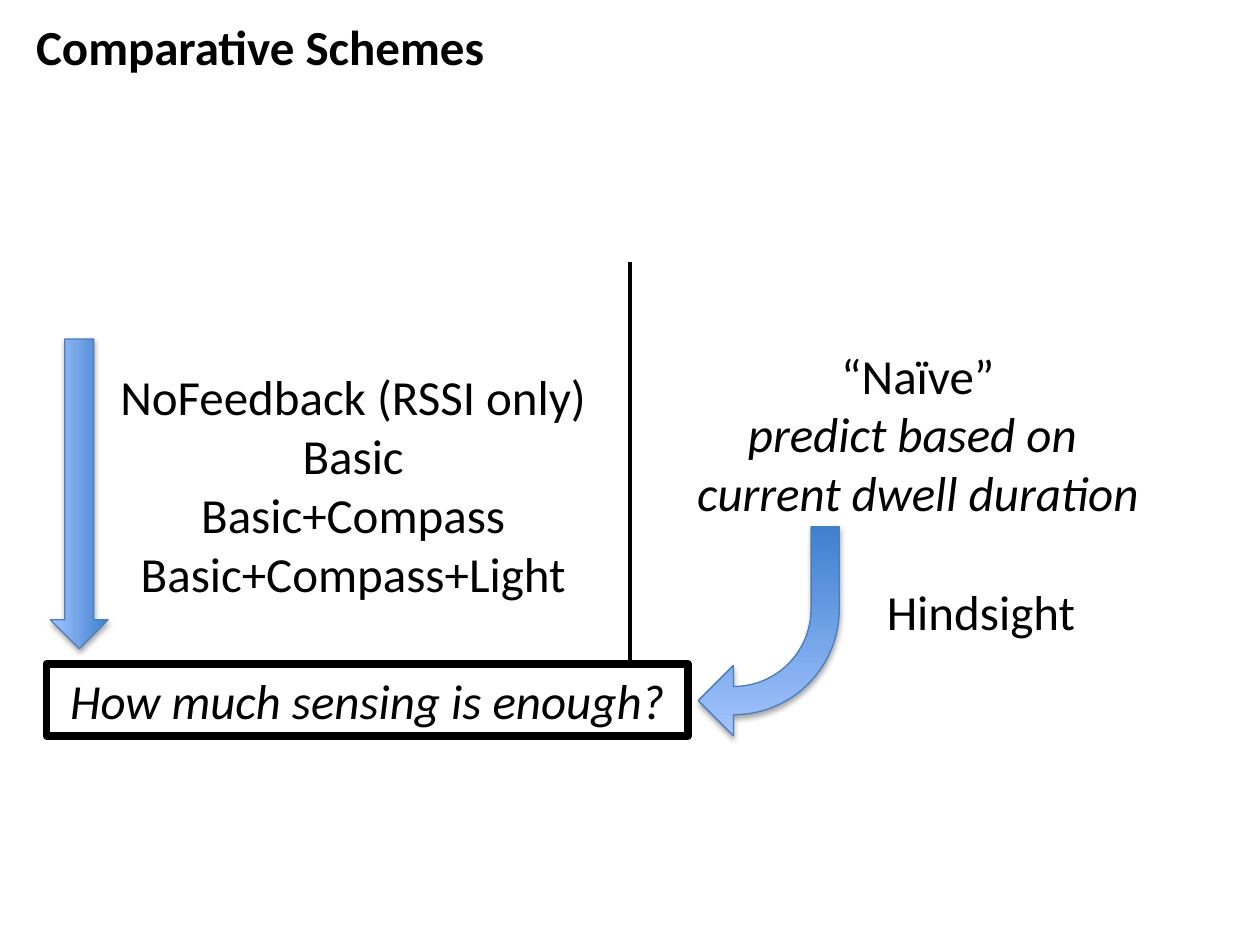
import pptx
import pptx.dml.color
import pptx.enum.shapes
import pptx.enum.text
import pptx.util
from lxml import etree

Pt = pptx.util.Pt
SHAPE = pptx.enum.shapes.MSO_SHAPE
ANCHOR = pptx.enum.text.MSO_ANCHOR
DRAWING_NS = "{http://schemas.openxmlformats.org/drawingml/2006/main}"


def color(hex_string):
    return pptx.dml.color.RGBColor.from_string(hex_string)


class SchemeSlide:
    font_name, font_size = "Calibri", 28
    ink, paper = "000000", "FFFFFF"
    arrow_dark, arrow_light, arrow_edge = "3F80CE", "A4C4FF", "4B7EBC"

    def __init__(self, presentation):
        self.slide = presentation.slides.add_slide(presentation.slide_layouts[5])

    def fill_text(self, shape, lines, wrap=True, bold=False):
        """Fill a shape with (text, italic) lines and return its paragraphs."""
        frame = shape.text_frame
        frame.auto_size = pptx.enum.text.MSO_AUTO_SIZE.NONE
        frame.word_wrap = wrap
        frame.vertical_anchor = ANCHOR.TOP
        for index, (text, italic) in enumerate(lines):
            paragraph = frame.add_paragraph() if index else frame.paragraphs[0]
            paragraph.text = text
            paragraph.alignment = pptx.enum.text.PP_ALIGN.CENTER
            font = paragraph.font
            font.name, font.size = self.font_name, Pt(self.font_size)
            font.bold, font.italic = bold, italic
            font.color.rgb = color(self.ink)
        return frame.paragraphs

    def title(self, text, left, top, width, height):
        heading = self.slide.shapes.title
        heading.left, heading.top = Pt(left), Pt(top)
        heading.width, heading.height = Pt(width), Pt(height)
        self.fill_text(heading, [(text, False)], wrap=False, bold=True)

    def text(self, lines, left, top, width, height):
        box = self.slide.shapes.add_textbox(Pt(left), Pt(top), Pt(width), Pt(height))
        return self.fill_text(box, lines)

    def divider(self, x, top, bottom, weight):
        line = self.slide.shapes.add_connector(
            pptx.enum.shapes.MSO_CONNECTOR.STRAIGHT, Pt(x), Pt(top), Pt(x), Pt(bottom))
        line.line.color.rgb = color(self.ink)
        line.line.width = Pt(weight)
        etree.SubElement(line._element.spPr, DRAWING_NS + "effectLst")

    def question(self, text, left, top, width, height):
        box = self.slide.shapes.add_shape(
            SHAPE.RECTANGLE, Pt(left), Pt(top), Pt(width), Pt(height))
        box.shadow.inherit = False
        box.fill.solid()
        box.fill.fore_color.rgb = color(self.paper)
        box.line.color.rgb = color(self.ink)
        box.line.width = Pt(4.5)
        self.fill_text(box, [(text, True)])

    def arrow(self, kind, left, top, width, height, rotation, adjustments=()):
        """Gradient arrow that keeps the theme's soft shadow."""
        arrow = self.slide.shapes.add_shape(
            kind, Pt(left), Pt(top), Pt(width), Pt(height))
        arrow.rotation = rotation
        for index, value in enumerate(adjustments):
            arrow.adjustments[index] = value
        arrow.fill.gradient()
        arrow.fill.gradient_angle = 90
        for stop, shade in zip(arrow.fill.gradient_stops,
                               (self.arrow_dark, self.arrow_light)):
            stop.color.rgb = color(shade)
        arrow.line.color.rgb = color(self.arrow_edge)
        arrow.line.width = Pt(0.75)


def main():
    presentation = pptx.Presentation()
    presentation.slide_width, presentation.slide_height = Pt(720), Pt(540)
    page = SchemeSlide(presentation)

    page.title("Comparative Schemes", 8.6, 6, 280, 41)

    # Schemes with growing amounts of sensing
    page.text([("NoFeedback (RSSI only)", False), ("Basic", False),
               ("Basic+Compass\nBasic+Compass+Light", False)],
              59.5, 206, 284.5, 143)

    page.divider(360, 150, 416, 2)

    # Baselines, with Hindsight set apart and to the right
    baselines = page.text(
        [("“Naïve”", False), ("predict based on ", True),
         ("current dwell duration", True), ("Hindsight", False)],
        386, 193.7, 277, 177)
    hindsight = baselines[-1]
    hindsight.space_before = Pt(34)
    hindsight._p.get_or_add_pPr().set("marL", str(Pt(72)))

    # Both sides lead to the question
    page.question("How much sensing is enough?", 26.6, 379.4, 366.5, 41)
    page.arrow(SHAPE.LEFT_ARROW, -43.2, 265.7, 177, 33, 270)
    page.arrow(SHAPE.BENT_ARROW, 399, 301, 80.6, 119.5, 180,
               (0.2, 0.25, 0.25, 0.75))

    presentation.save("out.pptx")


if __name__ == "__main__":
    main()
